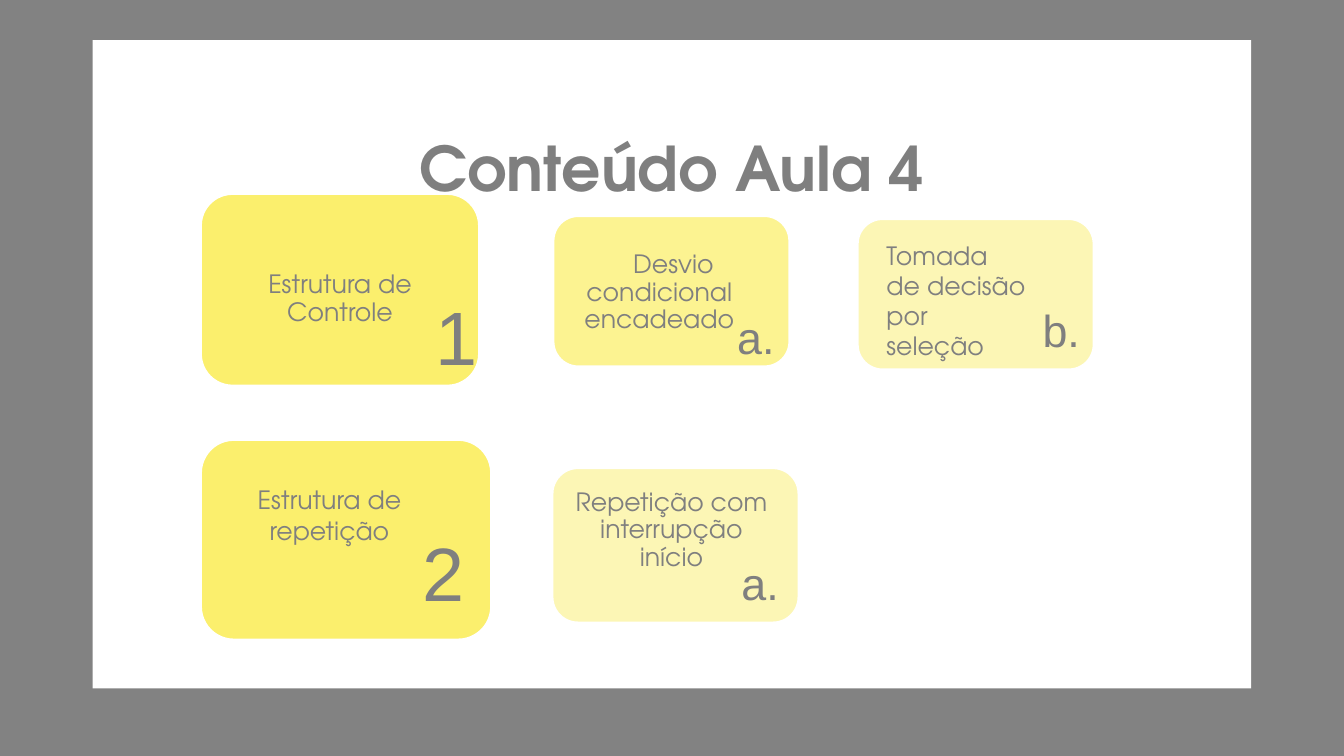
"""Build the lesson 4 contents slide: two topics with their lettered subtopics."""
from pptx import Presentation
from pptx.dml.color import RGBColor
from pptx.enum.shapes import MSO_SHAPE as Shape
from pptx.enum.text import MSO_ANCHOR as Anchor, PP_ALIGN as Align
from pptx.oxml.ns import qn
from pptx.util import Inches, Pt
from lxml.etree import SubElement

SLIDE_WIDTH, SLIDE_HEIGHT = Inches(13.34), Inches(7.5)
BLACK = RGBColor(0x00, 0x00, 0x00)
WHITE = RGBColor(0xFF, 0xFF, 0xFF)
GREY = RGBColor(0x7F, 0x7F, 0x7F)
YELLOW = RGBColor(0xFB, 0xEF, 0x6D)
TEXT_FONT, NUMBER_FONT = "TeX Gyre Adventor", "Arial"

CARDS = [
    ((14.92, 58.13, 21.66, 26.53), 100),
    ((41.08, 61.87, 18.37, 20.53), 50),
    ((14.92, 25.6, 20.76, 25.47), 100),
    ((41.15, 28.53, 17.62, 20), 75),
    ((63.79, 28.93, 17.62, 20), 50),
]
TIGHT_LABELS = [
    ("Repetição com interrupção início", (41.75, 62.93, 16.42, 12.27), 0),
    ("Estrutura de Controle", (14.92, 34.13, 20.76, 9.47), 0),
    ("Desvio condicional encadeado", (38.68, 31.47, 20.76, 11.73), 0.28),
]
LOOSE_LABELS = [
    ("Estrutura de repetição", (15.52, 63.47, 17.99, 9.47), Align.CENTER),
    ("Tomada\vde decisão por seleção", (65.22, 31.07, 11.99, 13.47), Align.LEFT),
]
MARKERS = [
    ("2", (29.76, 68.93, 6.52, 13.47), 54, Align.CENTER),
    ("1", (30.73, 37.73, 6.52, 13.47), 54, Align.CENTER),
    ("a.", (54.12, 72.8, 4.87, 8.53), 32, Align.CENTER),
    ("a.", (54.12, 40.27, 5.4, 8.53), 32, Align.LEFT),
    ("b.", (76.84, 39.33, 5.4, 8.53), 32, Align.LEFT),
]


def to_lengths(box):
    """Turn percentages of the slide's width and height into lengths."""
    sides = (SLIDE_WIDTH, SLIDE_HEIGHT) * 2
    return [int(side * share / 100) for side, share in zip(sides, box)]


def add_block(slide, kind, box, color, opacity=100):
    """Add a filled shape without an outline."""
    shape = slide.shapes.add_shape(kind, *to_lengths(box))
    shape.shadow.inherit = False
    shape.fill.solid()
    shape.fill.fore_color.rgb = color
    shape.line.fill.background()
    if opacity < 100:
        color_element = shape.fill._xPr.find(qn("a:solidFill"))[0]
        SubElement(color_element, qn("a:alpha"), val=str(opacity * 1000))
    return shape


def add_card(slide, box, opacity):
    """Add a rounded yellow card with a white outline."""
    card = add_block(slide, Shape.ROUNDED_RECTANGLE, box, YELLOW, opacity)
    card.line.color.rgb = WHITE
    card.line.width = Pt(2)


def write(shape, text, size, font=TEXT_FONT, align=Align.CENTER, bold=False):
    """Write one formatted grey paragraph into a shape and return it."""
    frame = shape.text_frame
    frame.word_wrap = True
    frame.text = text
    paragraph = frame.paragraphs[0]
    paragraph.alignment = align
    for run in paragraph.runs:
        run.font.name, run.font.size, run.font.bold = font, Pt(size), bold
        run.font.color.rgb = GREY
    return paragraph


def add_text(slide, text, box, size, font=TEXT_FONT, align=Align.CENTER):
    """Add a text box and return it."""
    text_box = slide.shapes.add_textbox(*to_lengths(box))
    write(text_box, text, size, font, align)
    return text_box


def add_tight_label(slide, text, box, indent):
    """Add a card label with close lines and an optional first-line indent."""
    frame = add_text(slide, text, box, 18).text_frame
    frame.margin_left = frame.margin_right = frame.margin_top = Inches(0.14)
    frame.margin_bottom = 0
    paragraph = frame.paragraphs[0]
    paragraph.line_spacing = 0.9
    if indent:
        properties = paragraph._p.get_or_add_pPr()
        properties.set("marL", "0")
        properties.set("indent", str(Inches(indent)))


def add_title(slide, text, box):
    """Place the title placeholder in front of the panel and fill it."""
    title = slide.shapes.title
    slide.shapes._spTree.append(title._element)
    title.left, title.top, title.width, title.height = to_lengths(box)
    write(title, text, 44, bold=True)
    title.text_frame.vertical_anchor = Anchor.MIDDLE


def main():
    """Build and save the presentation."""
    presentation = Presentation()
    presentation.slide_width, presentation.slide_height = SLIDE_WIDTH, SLIDE_HEIGHT
    slide = presentation.slides.add_slide(presentation.slide_layouts[5])
    add_block(slide, Shape.RECTANGLE, (0, 0, 100, 100), BLACK, 49)
    add_block(slide, Shape.RECTANGLE, (6.9, 5.33, 86.2, 85.73), WHITE)
    add_title(slide, "Conteúdo Aula 4", (10.64, 12.53, 78.71, 19.07))
    for box, opacity in CARDS:
        add_card(slide, box, opacity)
    for text, box, indent in TIGHT_LABELS:
        add_tight_label(slide, text, box, indent)
    for text, box, align in LOOSE_LABELS:
        add_text(slide, text, box, 18, align=align)
    for text, box, size, align in MARKERS:
        add_text(slide, text, box, size, NUMBER_FONT, align)
    presentation.save("out.pptx")


if __name__ == "__main__":
    main()
